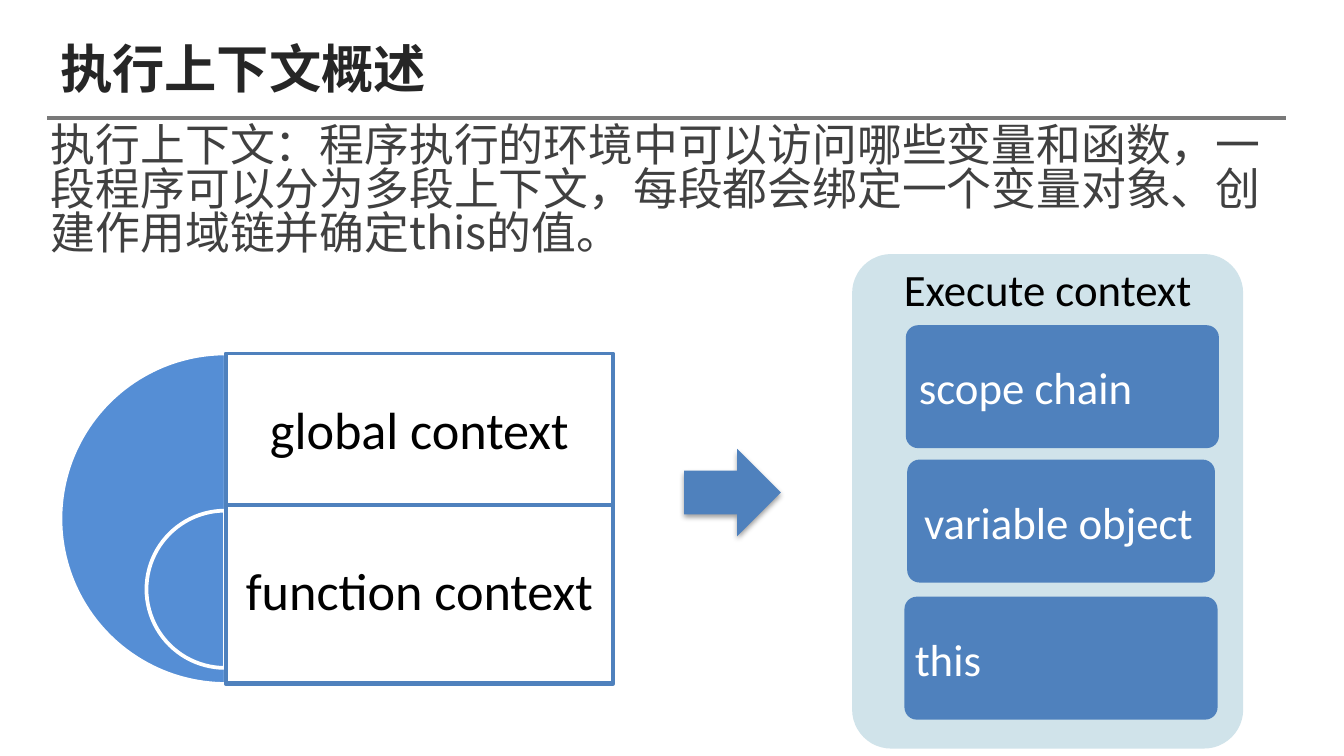
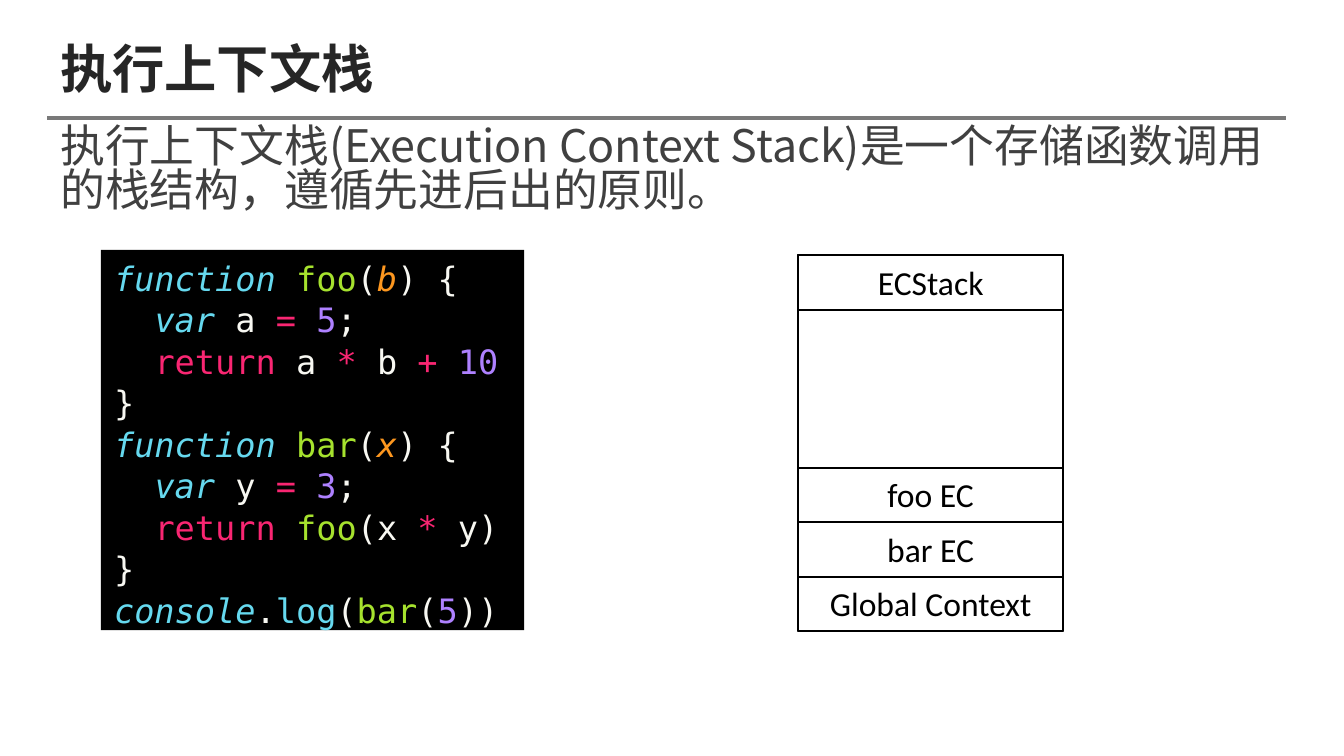
from lxml import etree
from pptx import Presentation
from pptx.dml.color import RGBColor
from pptx.enum.shapes import MSO_CONNECTOR, MSO_SHAPE
from pptx.enum.text import MSO_ANCHOR, PP_ALIGN
from pptx.oxml.ns import qn
from pptx.util import Emu, Pt

LINE = MSO_CONNECTOR.STRAIGHT
RECT = MSO_SHAPE.RECTANGLE
ROUND = MSO_SHAPE.ROUNDED_RECTANGLE
ARROW = MSO_SHAPE.RIGHT_ARROW
PIE = MSO_SHAPE.PIE
TOP, MID = MSO_ANCHOR.TOP, MSO_ANCHOR.MIDDLE
LEFT, MIDST = PP_ALIGN.LEFT, PP_ALIGN.CENTER

HAN, SANS, MONO = "Noto Sans CJK SC", "Calibri", "DejaVu Sans Mono"
BLACK, WHITE, BLUE, SKY = "000000", "FFFFFF", "4F81BD", "558ED5"
PALE, RULE, HEAD, BODY = "D0E3EA", "797979", "262626", "404040"

CYAN, LIME, AMBER, PINK, LILAC = "66D9EF", "A6E22E", "FD971F", "F92672", "AE81FF"
PLAIN = "F8F8F2"
HUES = {
    "function": CYAN, "var": CYAN, "console": CYAN, "log": CYAN,
    "foo": LIME, "bar": LIME, "b": AMBER, "x": AMBER,
    "return": PINK, "=": PINK, "*": PINK, "+": PINK,
    "5": LILAC, "3": LILAC, "10": LILAC,
}
SLANT = {"function", "var", "console", "b", "x"}
CODE = [
    "function| |foo|(|b|) {",
    "  |var| a |=| |5|;",
    "  |return| a |*| b |+| |10",
    "}",
    "function| |bar|(|x|) {",
    "  |var| y |=| |3|;",
    "  |return| |foo|(x |*| y)",
    "}",
    "console|.|log|(|bar|(|5|))",
]


def px(n):
    return Emu(n * 4572)


def hue(text):
    return RGBColor.from_string(text)


class Deck:
    def __init__(self):
        self.file = Presentation()
        self.file.slide_width, self.file.slide_height = px(2000), px(1125)

    def page(self, title, text, x, y, h):
        self.slide = self.file.slides.add_slide(self.file.slide_layouts[6])
        self.line(70, 176, 1914, 176, RULE, 2.25)
        self.text(title, 70, 46, 1842, 108, 28, HEAD, HAN, MID, bold=True)
        self.text(text, x, y, 1842, h, 24, BODY, HAN, ins=(20, 14, 20, 10), gap=0.82)

    def line(self, x1, y1, x2, y2, color, width):
        line = self.slide.shapes.add_connector(LINE, px(x1), px(y1), px(x2), px(y2))
        line.line.color.rgb = hue(color)
        line.line.width = Pt(width)
        etree.SubElement(line._element.spPr, qn("a:effectLst"))

    def shape(self, kind, x, y, w, h, fill=None, edge=None, width=1, adj=()):
        shape = self.slide.shapes.add_shape(kind, px(x), px(y), px(w), px(h))
        shape.shadow.inherit = False
        for i, value in enumerate(adj):
            shape.adjustments[i] = value
        if fill:
            shape.fill.solid()
            shape.fill.fore_color.rgb = hue(fill)
        else:
            shape.fill.background()
        if edge:
            shape.line.color.rgb = hue(edge)
            shape.line.width = Pt(width)
        else:
            shape.line.fill.background()
        return shape

    def shade(self, shape):
        effects = shape._element.spPr.find(qn("a:effectLst"))
        outer = etree.SubElement(effects, qn("a:outerShdw"), blurRad=str(Pt(3.1)),
                                 dist=str(Pt(1.6)), dir="5400000", rotWithShape="0")
        color = etree.SubElement(outer, qn("a:srgbClr"), val=BLACK)
        etree.SubElement(color, qn("a:alpha"), val="38000")

    def frame(self, shape, anchor=TOP, ins=(20, 10, 20, 10)):
        frame = shape.text_frame
        frame.word_wrap = True
        frame.vertical_anchor = anchor
        frame.margin_left, frame.margin_top, frame.margin_right, frame.margin_bottom = map(px, ins)
        return frame

    def style(self, para, size, color, face, align=LEFT, gap=1.0, bold=False):
        para.alignment = align
        para.line_spacing = gap
        font = para.font
        font.size, font.name, font.bold = Pt(size), face, bold
        font.color.rgb = hue(color)
        base = para._p.pPr.find(qn("a:defRPr"))
        etree.SubElement(base, qn("a:ea"), typeface=face)

    def label(self, shape, text, size, color, face=SANS, anchor=TOP, ins=(20, 10, 20, 10), **look):
        para = self.frame(shape, anchor, ins).paragraphs[0]
        para.text = text
        self.style(para, size, color, face, **look)

    def text(self, text, x, y, w, h, *style, **look):
        box = self.slide.shapes.add_textbox(px(x), px(y), px(w), px(h))
        self.label(box, text, *style, **look)

    def code(self, lines, x, y, w, h):
        frame = self.frame(self.shape(RECT, x, y, w, h, BLACK))
        for i, line in enumerate(lines):
            para = frame.add_paragraph() if i else frame.paragraphs[0]
            self.style(para, 18, PLAIN, MONO, gap=1.03)
            for piece in line.split("|"):
                run = para.add_run()
                run.text = piece
                run.font.color.rgb = hue(HUES.get(piece, PLAIN))
                run.font.italic = piece in SLANT


def context(deck):
    deck.page("执行上下文概述",
              "执行上下文：程序执行的环境中可以访问哪些变量和函数，一段程序可以分为多段上下文，"
              "每段都会绑定一个变量对象、创建作用域链并确定this的值。", 56, 174, 268)
    deck.shade(deck.shape(ARROW, 1018, 668, 144, 130, BLUE))

    panel = deck.shape(ROUND, 1268, 378, 582, 736, PALE, adj=[0.1])
    deck.label(panel, "Execute context", 24, BLACK, ins=(4, 4, 4, 4), align=MIDST, gap=0.9)
    for name, x, y, w, pad in [("scope chain", 1348, 484, 466, 14),
                               ("variable object", 1350, 684, 458, 20),
                               ("this", 1346, 888, 466, 10)]:
        card = deck.shape(ROUND, x, y, w, 183, BLUE, adj=[0.1])
        deck.label(card, name, 24, WHITE, anchor=MID, ins=(pad, 6, 8, 6))

    for name, x, y, size, top, tall, room in [
            ("global context", 90, 526, 492, 526, 492, 234),
            ("function context", 218, 760, 234, 752, 264, 264)]:
        deck.shape(PIE, x, y, size, size, SKY, WHITE, 2, [54, 162])
        deck.shape(RECT, 336, top, 576, tall, WHITE, BLUE, 2)
        deck.text(name, 336, top, 576, room, 28, BLACK, anchor=MID,
                  ins=(24, 24, 24, 24), align=MIDST, gap=0.9)


def stack(deck):
    deck.page("执行上下文栈",
              "执行上下文栈(Execution Context Stack)是一个存储函数调用的栈结构，"
              "遵循先进后出的原则。", 70, 176, 174)
    deck.code(CODE, 150, 372, 630, 566)
    x, top, w, row, end = 1188, 380, 394, 81, 939
    deck.shape(RECT, x, top, w, end - top, edge=BLACK)
    calls = ["Global Context", "bar EC", "foo EC"]
    cells = [(name, end - row * (i + 1)) for i, name in enumerate(calls)]
    for name, y in [("ECStack", top)] + cells:
        cell = deck.shape(RECT, x, y, w, row, edge=BLACK)
        deck.label(cell, name, 18, BLACK, align=MIDST)


def main():
    deck = Deck()
    context(deck)
    stack(deck)
    deck.file.save("out.pptx")


if __name__ == "__main__":
    main()
